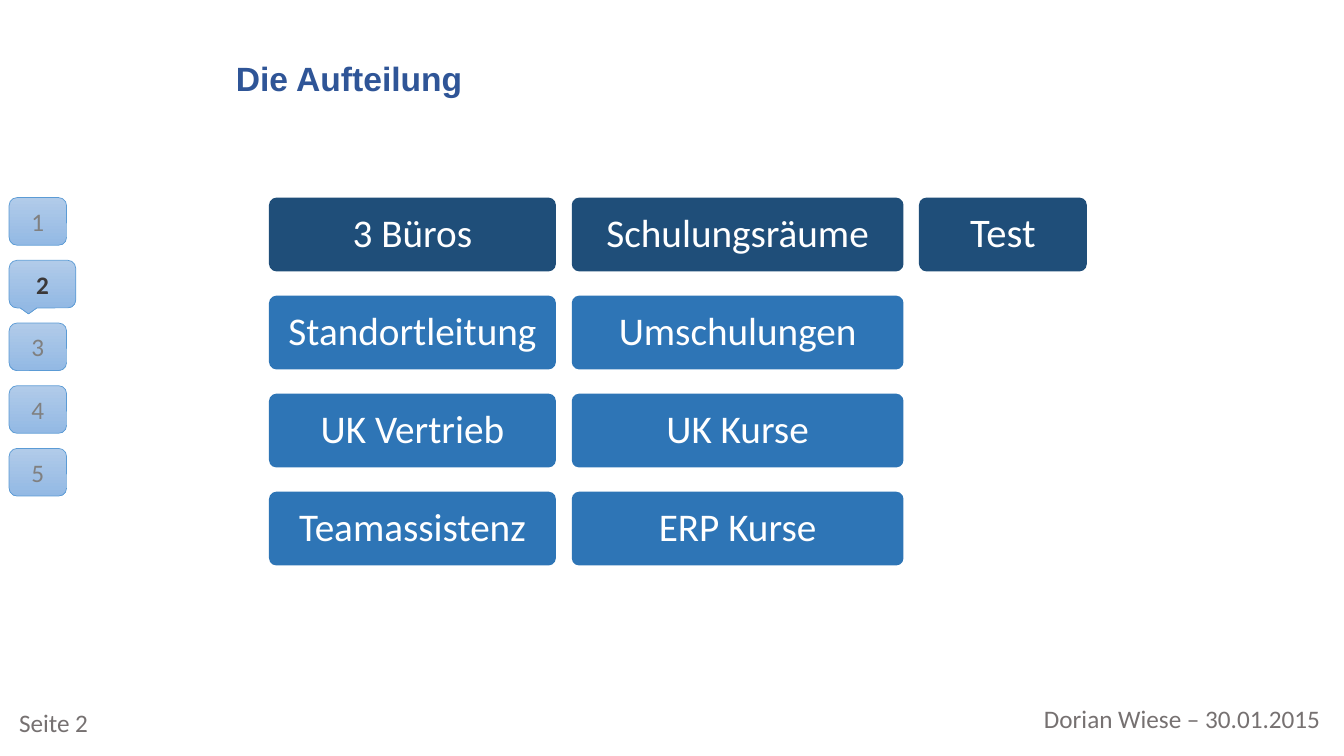
from pptx import Presentation
from pptx.dml.color import RGBColor
from pptx.enum.shapes import MSO_SHAPE
from pptx.enum.text import MSO_ANCHOR, MSO_AUTO_SIZE, PP_ALIGN
from pptx.util import Cm, Pt

TITLE_BLUE = RGBColor(0x2F, 0x55, 0x97)
DARK_BLUE = RGBColor(0x1F, 0x4E, 0x79)
MID_BLUE = RGBColor(0x2E, 0x75, 0xB6)
BADGE_TOP = RGBColor(0xB1, 0xCB, 0xE9)
BADGE_BOTTOM = RGBColor(0x93, 0xB9, 0xE4)
BADGE_LINE = RGBColor(0x5B, 0x9B, 0xD5)
GREY = RGBColor(0x80, 0x80, 0x80)
DARK_GREY = RGBColor(0x3B, 0x38, 0x38)
FOOTER_GREY = RGBColor(0x76, 0x71, 0x71)
WHITE = RGBColor(0xFF, 0xFF, 0xFF)


def write(sp, text, size, color, align=PP_ALIGN.CENTER, bold=False, font="Calibri"):
    tf = sp.text_frame
    tf.text = text
    tf.word_wrap = True
    p = tf.paragraphs[0]
    p.alignment = align
    r = p.runs[0]
    r.font.name = font
    r.font.size = Pt(size)
    r.font.bold = bold
    r.font.color.rgb = color
    return tf


prs = Presentation()
prs.slide_width = Cm(33.87)
prs.slide_height = Cm(19.05)
s = prs.slides.add_slide(prs.slide_layouts[5])

# Title
title = s.shapes.title
title.left, title.top, title.width, title.height = Cm(5.69), Cm(1.45), Cm(25.9), Cm(1.4)
tf = write(title, "Die Aufteilung", 24, TITLE_BLUE, PP_ALIGN.LEFT, True, "Arial")
tf.auto_size = MSO_AUTO_SIZE.NONE
tf.vertical_anchor = MSO_ANCHOR.TOP
tf.paragraphs[0].line_spacing = 0.9

# Chapter badges, the current one as a callout
current = 2
for number in range(1, 6):
    active = number == current
    kind = MSO_SHAPE.ROUNDED_RECTANGULAR_CALLOUT if active else MSO_SHAPE.ROUNDED_RECTANGLE
    sp = s.shapes.add_shape(kind, Cm(0.23), Cm(4.98 + 1.58 * (number - 1)),
                            Cm(1.68 if active else 1.45), Cm(1.2))
    sp.shadow.inherit = False
    sp.fill.gradient()
    sp.fill.gradient_angle = 270
    for stop, color in zip(sp.fill.gradient_stops, (BADGE_TOP, BADGE_BOTTOM)):
        stop.color.rgb = color
    sp.line.color.rgb = BADGE_LINE
    sp.line.width = Pt(0.5)
    tf = write(sp, str(number), 18, DARK_GREY if active else GREY, bold=active)
    tf.vertical_anchor = MSO_ANCHOR.MIDDLE

# Room columns: left, width, heading size, heading and entries
columns = [
    (6.78, 7.23, 28, ["3 Büros", "Standortleitung", "UK Vertrieb", "Teamassistenz"]),
    (14.41, 8.36, 28, ["Schulungsräume", "Umschulungen", "UK Kurse", "ERP Kurse"]),
    (23.16, 4.23, 29, ["Test"]),
]
for left, width, size, labels in columns:
    for row, label in enumerate(labels):
        sp = s.shapes.add_shape(MSO_SHAPE.ROUNDED_RECTANGLE, Cm(left), Cm(4.98 + 2.47 * row),
                                Cm(width), Cm(1.86))
        sp.adjustments[0] = 0.1
        sp.shadow.inherit = False
        sp.fill.solid()
        sp.fill.fore_color.rgb = MID_BLUE if row else DARK_BLUE
        sp.line.fill.background()
        tf = write(sp, label, size, WHITE)
        tf.vertical_anchor = MSO_ANCHOR.MIDDLE
        tf.margin_left = tf.margin_right = tf.margin_top = tf.margin_bottom = Cm(0.36)
        tf.paragraphs[0].line_spacing = 0.9

# Footer
for left, top, text in [(26.06, 17.6, "Dorian Wiese – 30.01.2015"), (0.23, 17.7, "Seite 2")]:
    sp = s.shapes.add_textbox(Cm(left), Cm(top), Cm(7.8), Cm(1.03))
    write(sp, text, 18, FOOTER_GREY, PP_ALIGN.LEFT)

prs.save("out.pptx")
